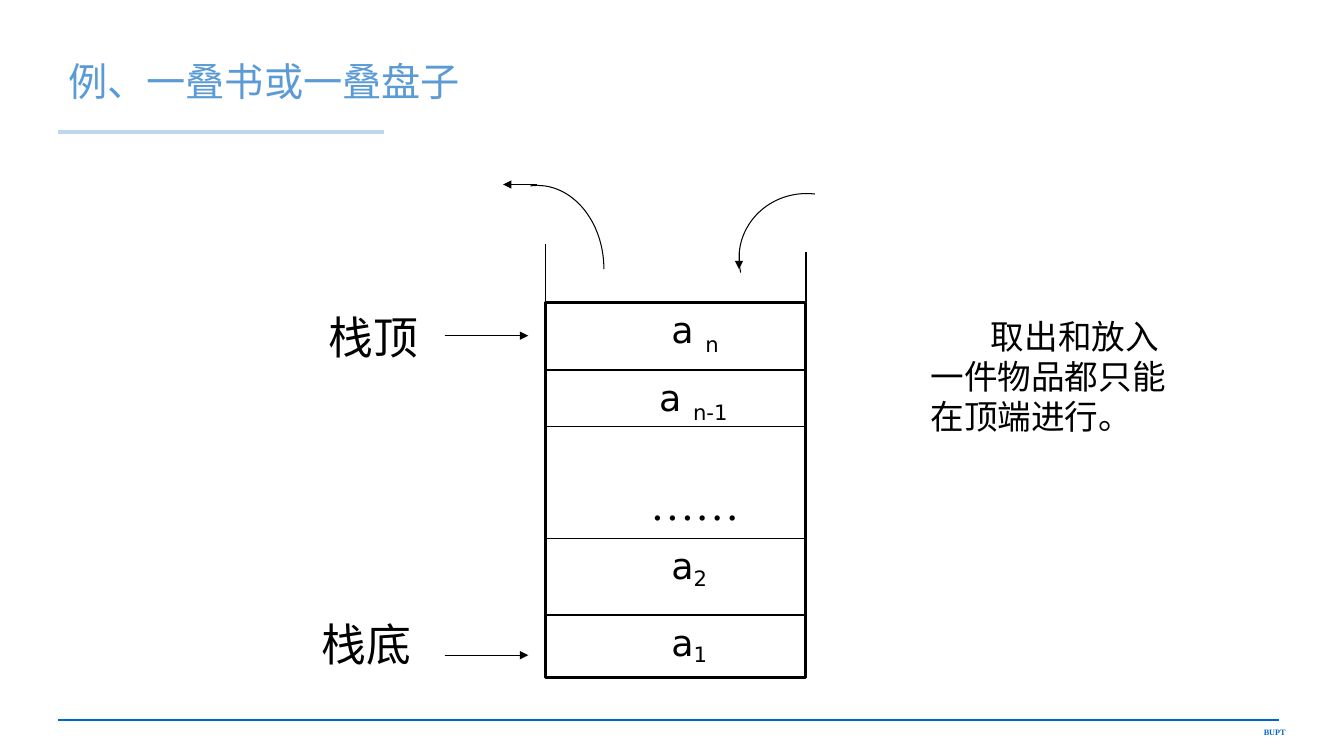
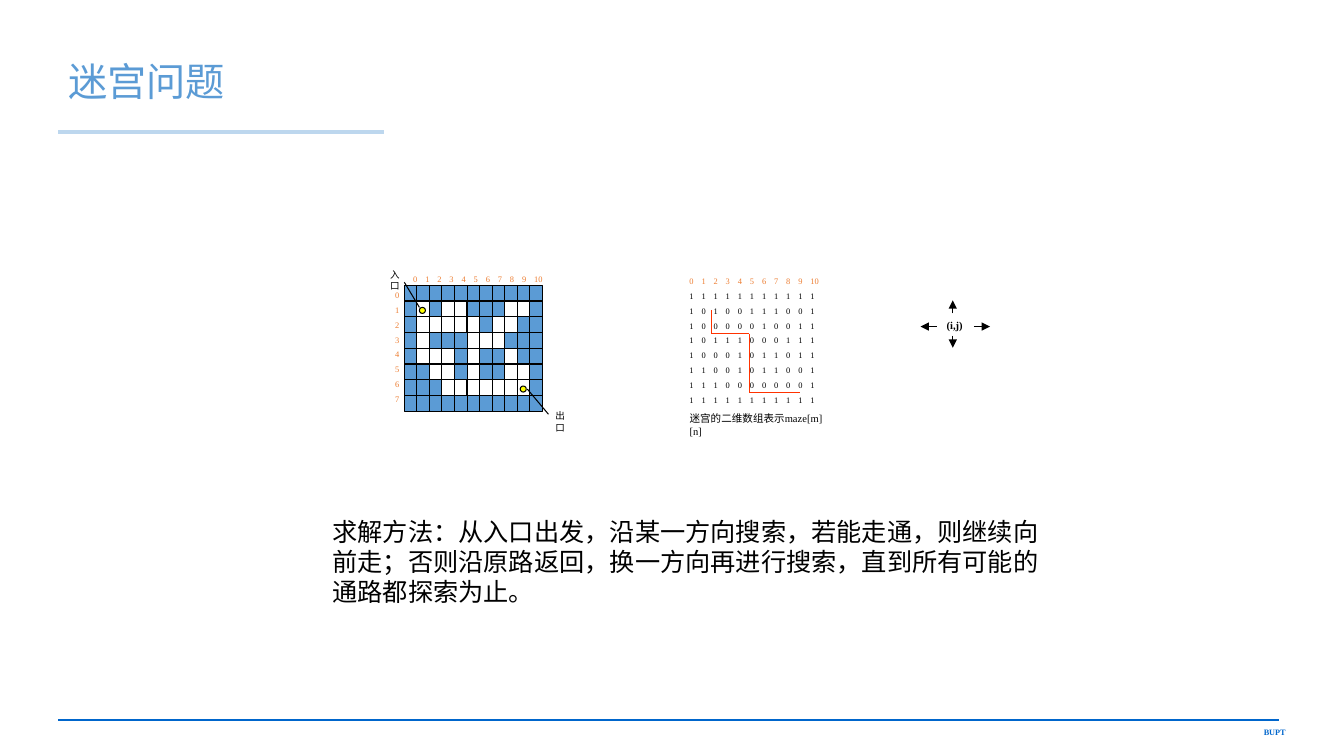
from itertools import pairwise
from math import cos, radians, sin

from lxml import etree
from pptx import Presentation
from pptx.dml.color import RGBColor
from pptx.enum.shapes import MSO_CONNECTOR, MSO_SHAPE
from pptx.enum.text import MSO_ANCHOR, PP_ALIGN
from pptx.oxml.ns import qn
from pptx.util import Inches, Pt

STRAIGHT = MSO_CONNECTOR.STRAIGHT
RECTANGLE, OVAL = MSO_SHAPE.RECTANGLE, MSO_SHAPE.OVAL
MIDDLE, RIGHT = MSO_ANCHOR.MIDDLE, PP_ALIGN.RIGHT
LEFT_SIDE = 1

# Shared look
BLACK, WHITE, YELLOW = "000000", "FFFFFF", "FFFF00"
BLUE, PALE_BLUE, DEEP_BLUE = "5B9BD5", "BDD7EE", "0066CC"
ORANGE, RED = "ED7D31", "FF3300"
SERIF, SANS, CHINESE = "Times New Roman", "DejaVu Sans", "Noto Sans CJK SC"

TITLE = {"name": CHINESE, "size": Pt(28)}
FOOTER = {"name": SERIF, "size": Pt(5.9), "bold": True}
LABEL = {"name": SERIF, "size": Pt(32)}
REMARK = {"name": SERIF, "size": Pt(24)}
BODY = {"name": SERIF, "size": Pt(18)}
ELEMENT = {"name": SANS, "size": Pt(26)}
TINY = {"name": SERIF, "size": Pt(6)}
DOOR = {"name": SERIF, "size": Pt(6.8)}
CAPTION = {"name": SERIF, "size": Pt(7.5)}
POSITION = {"name": SERIF, "size": Pt(7.5), "bold": True}

# Maze: 1 is wall, 0 is open
MAZE = [
    "11111111111",
    "10100111001",
    "10000010011",
    "10111000111",
    "10001011011",
    "11001011001",
    "11100000001",
    "11111111111",
]
ROWS, COLUMNS = len(MAZE), len(MAZE[0])
COLUMN_NUMBERS = "\t".join(str(number) for number in range(COLUMNS))


def color(value):
    return RGBColor.from_string(value)


def add_text(page, at, paragraphs, style, ink=BLACK, first_ink=None,
             paragraph_format=None, gap=0, indent=0, tab_pitch=0, anchor=None):
    """Each paragraph is a string or a list of (text, baseline percent)."""
    box = page.shapes.add_textbox(*map(Inches, at))
    frame = box.text_frame
    frame.word_wrap = True
    if anchor is not None:
        frame.vertical_anchor = anchor
    for index, spans in enumerate(paragraphs):
        para = frame.paragraphs[0] if index == 0 else frame.add_paragraph()
        if tab_pitch:
            add_tabs(para, tab_pitch)
        for name, value in (paragraph_format or {}).items():
            setattr(para, name, value)
        if index == 0 and indent:
            para._p.get_or_add_pPr().set("indent", str(Inches(indent)))
        if index and gap:
            para.space_before = Pt(gap)
        if isinstance(spans, str):
            spans = [(spans, 0)]
        for text, baseline in spans:
            span = para.add_run()
            span.text = text
            for name, value in style.items():
                setattr(span.font, name, value)
            span.font.color.rgb = color(first_ink if first_ink and index == 0 else ink)
            properties = span._r.get_or_add_rPr()
            etree.SubElement(properties, qn("a:ea")).set("typeface", CHINESE)
            if baseline:
                properties.set("baseline", str(baseline * 1000))
    return box


def add_tabs(para, pitch):
    tabs = etree.SubElement(para._p.get_or_add_pPr(), qn("a:tabLst"))
    for number in range(1, COLUMNS):
        tab = etree.SubElement(tabs, qn("a:tab"))
        tab.set("pos", str(Inches(pitch * number)))
        tab.set("algn", "l")


def add_line(page, start, end, ink=BLACK, weight=0.75, arrow=False):
    line = page.shapes.add_connector(STRAIGHT, *map(Inches, (*start, *end)))
    line.line.color.rgb = color(ink)
    line.line.width = Pt(weight)
    if arrow:
        etree.SubElement(line.line._get_or_add_ln(), qn("a:tailEnd")).set("type", "triangle")
    etree.SubElement(line._element.spPr, qn("a:effectLst"))
    return line


def format_shape(shape, fill=None, weight=0.75):
    shape.shadow.inherit = False
    if fill:
        shape.fill.solid()
        shape.fill.fore_color.rgb = color(fill)
    else:
        shape.fill.background()
    shape.line.color.rgb = color(BLACK)
    shape.line.width = Pt(weight)


def add_figure(page, kind, at, fill=None, weight=0.75):
    format_shape(page.shapes.add_shape(kind, *map(Inches, at)), fill, weight)


def add_arc(page, center, radii, first, last, steps=30):
    """Angles in degrees, clockwise from the right."""
    angles = [radians(first + (last - first) * step / steps) for step in range(steps + 1)]
    points = [(Inches(center[0] + radii[0] * cos(angle)),
               Inches(center[1] + radii[1] * sin(angle))) for angle in angles]
    builder = page.shapes.build_freeform(*points[0])
    builder.add_line_segments(points[1:], close=False)
    format_shape(builder.convert_to_shape())


def add_page(deck, title):
    page = deck.slides.add_slide(deck.slide_layouts[6])
    add_line(page, (0.58, 7.14), (12.69, 7.14), DEEP_BLUE, 1.5)
    add_text(page, (11.5, 7.17, 1.35, 0.2), ["BUPT"], FOOTER, DEEP_BLUE,
             paragraph_format={"alignment": RIGHT})
    add_line(page, (0.58, 1.31), (3.81, 1.31), PALE_BLUE, 3.5)
    add_text(page, (0.58, 0.36, 11.29, 0.94), [title], TITLE, BLUE,
             paragraph_format={"line_spacing": 0.9}, anchor=MIDDLE)
    return page


def draw_stack(page):
    left, right, top, bottom = 5.41, 7.99, 3, 6.72
    # Elements: top of the row, text indent, letter and subscript
    elements = [
        (3, 1.15, [("a ", 0), ("n", -25)]),
        (3.67, 1.03, [("a ", 0), ("n-1", -25)]),
        (5.34, 1.15, [("a", 0), ("2", -18)]),
        (6.1, 1.15, [("a", 0), ("1", -18)]),
    ]
    for row_top, indent, spans in elements:
        add_text(page, (left, row_top, right - left, 0.62), [spans], ELEMENT, indent=indent)
    add_text(page, (6.35, 4.67, 1.14, 0.63), ["……"], LABEL)

    # Frame, dividers and open walls
    add_figure(page, RECTANGLE, (left, top, right - left, bottom - top), weight=2.25)
    for divider in (3.67, 4.23, 5.34, 6.1):
        add_line(page, (left, divider), (right, divider), weight=1)
    add_line(page, (left, 2.42), (left, top))
    add_line(page, (right, 2.5), (right, top), weight=1.5)

    # Way out and way in
    add_arc(page, (5.33, 2.67), (0.66, 0.83), -96, 0)
    add_line(page, (5.33, 1.83), (4.99, 1.83), arrow=True)
    add_arc(page, (8, 2.56), (0.67, 0.64), 167, 277)
    add_line(page, (7.33, 2.5), (7.33, 2.67), arrow=True)

    # Pointers to the two ends
    for text, label_left, label_top, arrow_y in (("栈顶", 3.16, 3.02, 3.33),
                                                 ("栈底", 3.09, 6.07, 6.5)):
        add_text(page, (label_left, label_top, 1.15, 0.63), [text], LABEL)
        add_line(page, (4.41, arrow_y), (5.24, arrow_y), arrow=True)


def draw_maze(page):
    left, top, width, height = 4.01, 2.83, 1.37, 1.25
    cell_width, cell_height = width / COLUMNS, height / ROWS

    # Walls, grid and open cells
    add_figure(page, RECTANGLE, (left, top, width, height), BLUE)
    for row in range(1, ROWS):
        y = top + row * cell_height
        add_line(page, (left, y), (left + width, y))
    for column in range(1, COLUMNS):
        x = left + column * cell_width
        add_line(page, (x, top), (x, top + height))
    for row, cells in enumerate(MAZE):
        for column, cell in enumerate(cells):
            if cell == "0":
                add_figure(page, RECTANGLE,
                           (left + column * cell_width, top + row * cell_height,
                            cell_width, cell_height), WHITE)

    # Row and column numbers
    add_text(page, (4, 2.67, 2.03, 0.2), [COLUMN_NUMBERS], TINY, ORANGE, tab_pitch=0.12)
    add_text(page, (3.82, 2.83, 0.38, 1.26), [str(row) for row in range(ROWS)],
             TINY, ORANGE, gap=3.4)

    # Entrance and exit
    for dot_left, dot_top in ((4.16, 3.05), (5.16, 3.83)):
        add_figure(page, OVAL, (dot_left, dot_top, 0.06, 0.06), YELLOW)
    add_line(page, (4.16, 3.05), (4.01, 2.8))
    add_line(page, (5.23, 3.86), (5.44, 4.11))
    add_text(page, (3.77, 2.62, 0.31, 0.33), ["入口"], DOOR)
    add_text(page, (5.41, 4.02, 0.31, 0.33), ["出口"], DOOR)


def draw_array(page):
    add_text(page, (6.74, 2.69, 1.6, 1.41),
             [COLUMN_NUMBERS] + ["\t".join(row) for row in MAZE],
             TINY, first_ink=ORANGE, gap=3.4, tab_pitch=0.12)
    route = [(7.06, 3.08), (7.06, 3.31), (7.43, 3.31), (7.43, 3.89), (7.93, 3.89)]
    for start, end in pairwise(route):
        add_line(page, start, end, RED)
    add_text(page, (6.74, 4.04, 1.59, 0.35), ["迷宫的二维数组表示maze[m][n]"], CAPTION)


def draw_directions(page):
    box = add_text(page, (9.29, 3.12, 0.47, 0.24), ["(i,j)"], POSITION)
    for start, end in (((9.45, 3.11), (9.45, 2.98)),
                       ((9.66, 3.24), (9.82, 3.24)),
                       ((9.45, 3.33), (9.45, 3.45))):
        add_line(page, start, end, arrow=True)
    west = add_line(page, (9.29, 3.24), (9.13, 3.24), arrow=True)
    west.begin_connect(box, LEFT_SIDE)


def main():
    deck = Presentation()
    deck.slide_width, deck.slide_height = Inches(13.33), Inches(7.5)

    # Stack example
    page = add_page(deck, "例、一叠书或一叠盘子")
    draw_stack(page)
    add_text(page, (9.13, 3.08, 2.6, 1.31),
             ["取出和放入", "一件物品都只能", "在顶端进行。"], REMARK, indent=0.6)

    # Maze problem
    page = add_page(deck, "迷宫问题")
    draw_maze(page)
    draw_array(page)
    draw_directions(page)
    add_text(page, (3.2, 5.07, 7.4, 1.01),
             ["求解方法：从入口出发，沿某一方向搜索，若能走通，则继续向前走；"
              "否则沿原路返回，换一方向再进行搜索，直到所有可能的通路都探索为止。"], BODY)

    deck.save("out.pptx")


if __name__ == "__main__":
    main()
